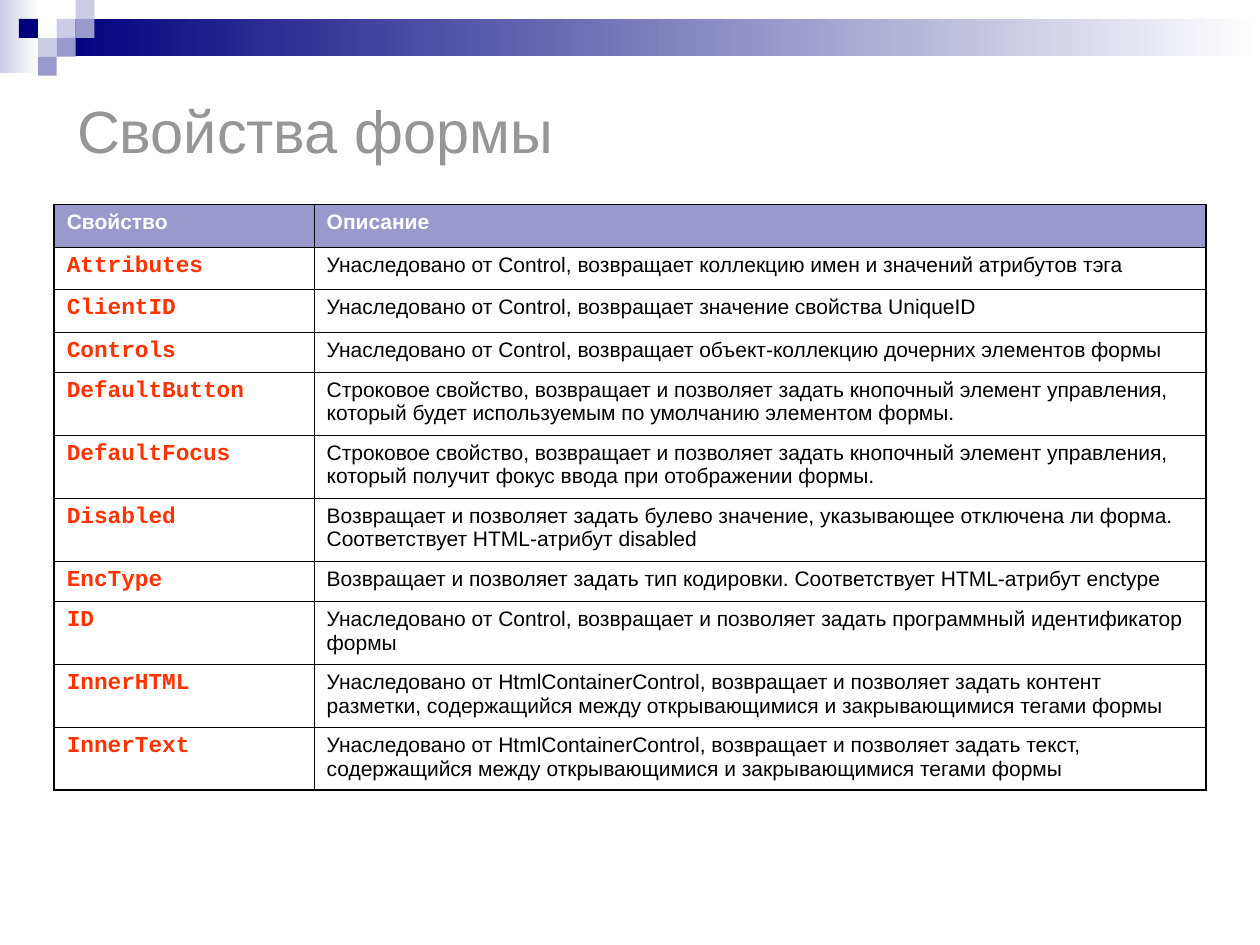
from typing import NamedTuple

from lxml import etree
from pptx import Presentation
from pptx.dml.color import RGBColor
from pptx.enum.shapes import MSO_SHAPE
from pptx.enum.text import MSO_ANCHOR
from pptx.oxml.ns import qn
from pptx.util import Pt

RECT = MSO_SHAPE.RECTANGLE
MIDDLE = MSO_ANCHOR.MIDDLE
TOP = MSO_ANCHOR.TOP

NAVY = RGBColor(0x00, 0x00, 0x7D)
VIOLET = RGBColor(0x99, 0x99, 0xCC)
LILAC = RGBColor(0xCC, 0xCC, 0xE6)
WHITE = RGBColor(0xFF, 0xFF, 0xFF)
BLACK = RGBColor(0x00, 0x00, 0x00)
GRAY = RGBColor(0x96, 0x96, 0x96)
RED = RGBColor(0xFF, 0x33, 0x00)

UNIT = 10.8  # side of a decorative square
OUTER, INNER = 1.08, 0.45  # table border widths
SINGLE, SHORT, DOUBLE = 24.3, 22.9, 36  # row heights
COL_WIDTHS = (148.5, 509.5)


class Bar(NamedTuple):
    left: float
    top: float
    width: float
    height: float
    start: RGBColor


class Square(NamedTuple):
    col: int
    row: int
    color: RGBColor


class Property(NamedTuple):
    name: str
    text: str
    height: float


BARS = (
    Bar(0, 0, 22.3, 41.8, LILAC),
    Bar(3 * UNIT, UNIT, 720 - 3 * UNIT, 21.4, NAVY),
)

SQUARES = (
    Square(3, 1, LILAC),
    Square(4, 0, LILAC),
    Square(4, 1, VIOLET),
    Square(2, 2, LILAC),
    Square(1, 1, NAVY),
    Square(3, 2, VIOLET),
    Square(2, 3, VIOLET),
)

PROPERTIES = (
    Property("Attributes", "Унаследовано от Control, возвращает коллекцию имен и значений атрибутов тэга", SINGLE),
    Property("ClientID", "Унаследовано от Control, возвращает значение свойства UniqueID", SINGLE),
    Property("Controls", "Унаследовано от Control, возвращает объект-коллекцию дочерних элементов формы", SHORT),
    Property("DefaultButton", "Строковое свойство, возвращает и позволяет задать кнопочный элемент управления, "
             "который будет используемым по умолчанию элементом формы.", DOUBLE),
    Property("DefaultFocus", "Строковое свойство, возвращает и позволяет задать кнопочный элемент управления, "
             "который получит фокус ввода при отображении формы.", DOUBLE),
    Property("Disabled", "Возвращает и позволяет задать булево значение, указывающее отключена ли форма. "
             "Соответствует HTML-атрибут disabled", DOUBLE),
    Property("EncType", "Возвращает и позволяет задать тип кодировки. Соответствует HTML-атрибут enctype", SHORT),
    Property("ID", "Унаследовано от Control, возвращает и позволяет задать программный идентификатор формы", DOUBLE),
    Property("InnerHTML", "Унаследовано от HtmlContainerControl, возвращает и позволяет задать контент разметки, "
             "содержащийся между открывающимися и закрывающимися тегами формы", DOUBLE),
    Property("InnerText", "Унаследовано от HtmlContainerControl, возвращает и позволяет задать текст, "
             "содержащийся между открывающимися и закрывающимися тегами формы", DOUBLE),
)


def write(tf, text: str, *, size: float = 12, font: str = "Arial", color: RGBColor = BLACK,
          bold: bool = False, before: float = 0) -> None:
    p = tf.paragraphs[0]
    p.space_before = Pt(before)
    r = p.add_run()
    r.text = text
    r.font.size = Pt(size)
    r.font.name = font
    r.font.bold = bold
    r.font.color.rgb = color


def add_rect(slide, left: float, top: float, width: float, height: float):
    sp = slide.shapes.add_shape(RECT, Pt(left), Pt(top), Pt(width), Pt(height))
    sp.shadow.inherit = False
    sp.line.fill.background()
    return sp


def add_bar(slide, bar: Bar) -> None:
    fill = add_rect(slide, bar.left, bar.top, bar.width, bar.height).fill
    fill.gradient()
    fill.gradient_angle = 0
    for stop, color in zip(fill.gradient_stops, (bar.start, WHITE)):
        stop.color.rgb = color


def add_square(slide, square: Square) -> None:
    sp = add_rect(slide, square.col * UNIT, square.row * UNIT, UNIT, UNIT)
    sp.fill.solid()
    sp.fill.fore_color.rgb = square.color


def set_borders(cell, widths: dict[str, float]) -> None:
    tc_pr = cell._tc.get_or_add_tcPr()
    for side, width in widths.items():
        ln = etree.SubElement(tc_pr, qn(f"a:ln{side}"), w=str(Pt(width)))
        fill = etree.SubElement(ln, qn("a:solidFill"))
        etree.SubElement(fill, qn("a:srgbClr"), val=str(BLACK))


def add_property_table(slide) -> None:
    heights = [SINGLE] + [item.height for item in PROPERTIES]
    frame = slide.shapes.add_table(len(heights), len(COL_WIDTHS), Pt(31), Pt(116.8),
                                   Pt(sum(COL_WIDTHS)), Pt(sum(heights)))
    table = frame.table
    table.first_row = table.horz_banding = False
    for col, width in zip(table.columns, COL_WIDTHS):
        col.width = Pt(width)
    for row, height in zip(table.rows, heights):
        row.height = Pt(height)

    # Borders: heavier around the outside
    last_row, last_col = len(heights) - 1, len(COL_WIDTHS) - 1
    for i, row in enumerate(table.rows):
        for j, cell in enumerate(row.cells):
            edges = {"L": j == 0, "R": j == last_col, "T": i == 0, "B": i == last_row}
            set_borders(cell, {side: OUTER if edge else INNER for side, edge in edges.items()})
            cell.vertical_anchor = TOP
            cell.fill.background()

    # Header row
    for cell, text in zip(table.rows[0].cells, ("Свойство", "Описание")):
        cell.fill.solid()
        cell.fill.fore_color.rgb = VIOLET
        write(cell.text_frame, text, color=WHITE, bold=True, before=3)

    # Property rows
    for i, item in enumerate(PROPERTIES, start=1):
        write(table.cell(i, 0).text_frame, item.name, size=13, font="Courier New",
              color=RED, bold=True, before=3.3)
        write(table.cell(i, 1).text_frame, item.text, before=3)


def main() -> None:
    prs = Presentation()
    prs.slide_width, prs.slide_height = Pt(720), Pt(540)
    slide = prs.slides.add_slide(prs.slide_layouts[6])

    # Top decoration
    for bar in BARS:
        add_bar(slide, bar)
    for square in SQUARES:
        add_square(slide, square)

    # Title
    tf = slide.shapes.add_textbox(Pt(37), Pt(37.5), Pt(346), Pt(73.5)).text_frame
    tf.word_wrap = True
    tf.vertical_anchor = MIDDLE
    write(tf, "Свойства формы", size=34, color=GRAY)

    add_property_table(slide)
    prs.save("out.pptx")


if __name__ == "__main__":
    main()
